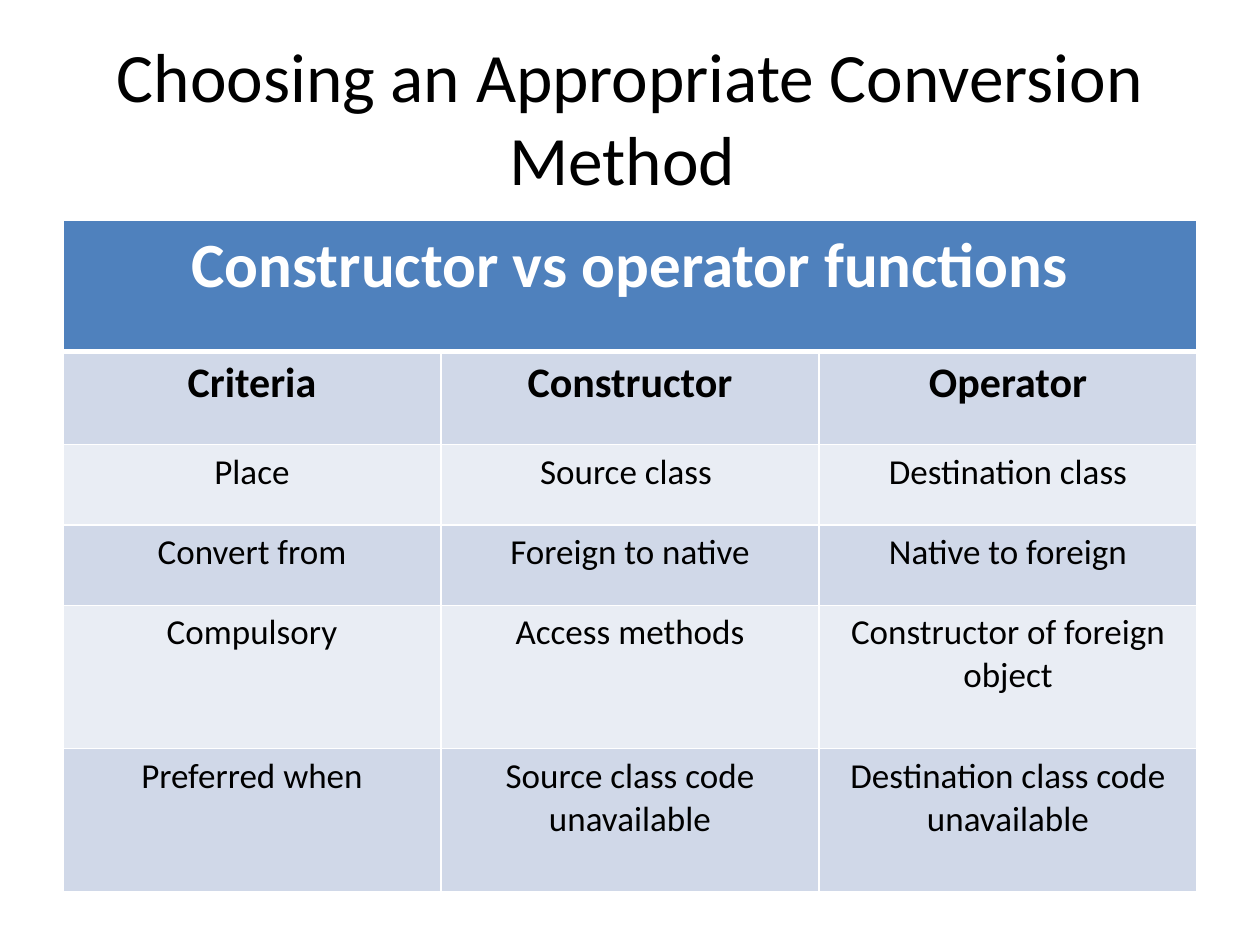
from dataclasses import dataclass
from lxml.etree import SubElement
from pptx import Presentation
from pptx.dml.color import RGBColor as Color
from pptx.enum.text import MSO_ANCHOR as Anchor, MSO_AUTO_SIZE as AutoSize, PP_ALIGN as Align
from pptx.oxml.ns import qn
from pptx.util import Cm, Pt


@dataclass(frozen=True)
class Theme:
    font: str = "Calibri"
    ink: str = "000000"
    paper: str = "FFFFFF"
    header: str = "4F81BD"
    dark_band: str = "D0D8E8"
    light_band: str = "E9EDF4"
    title_size: float = 39.6
    header_size: float = 36
    heading_size: float = 24
    body_size: float = 20
    thin: float = 1
    thick: float = 3


@dataclass(frozen=True)
class Box:
    left: float
    top: float
    width: float
    height: float


THEME = Theme()
TITLE = "Choosing an Appropriate Conversion Method "
TABLE_HEADER = "Constructor vs operator functions"
ROWS = [
    ("Criteria", "Constructor", "Operator"),
    ("Place", "Source class ", "Destination class"),
    ("Convert from", "Foreign to native", "Native to foreign"),
    ("Compulsory", "Access methods", "Constructor of foreign object"),
    ("Preferred when", "Source class code unavailable", "Destination class code unavailable"),
]
ROW_SHARES = [1.04, 0.74, 0.64, 0.64, 1.14, 1.14]


def write_text(frame, text, size, color=THEME.ink, bold=False, align=Align.CENTER):
    paragraph = frame.paragraphs[0]
    paragraph.alignment = align
    run = paragraph.add_run()
    run.text = text
    run.font.name = THEME.font
    run.font.size = Pt(size)
    run.font.bold = bold
    run.font.color.rgb = Color.from_string(color)


def style_cell(cell, fill, top=THEME.thin, bottom=THEME.thin):
    properties = cell._tc.get_or_add_tcPr()
    for side, width in (("L", THEME.thin), ("R", THEME.thin), ("T", top), ("B", bottom)):
        line = SubElement(properties, qn(f"a:ln{side}"), w=str(Pt(width)))
        SubElement(SubElement(line, qn("a:solidFill")), qn("a:srgbClr"), val=THEME.paper)
    cell.fill.solid()
    cell.fill.fore_color.rgb = Color.from_string(fill)


def place_title(slide, box):
    title = slide.shapes.title
    title.left, title.top = Cm(box.left), Cm(box.top)
    title.width, title.height = Cm(box.width), Cm(box.height)
    title.text_frame.word_wrap = True
    title.text_frame.auto_size = AutoSize.NONE
    title.text_frame.vertical_anchor = Anchor.MIDDLE
    write_text(title.text_frame, TITLE, THEME.title_size)


def place_table(slide, box):
    column_count = len(ROWS[0])
    table = slide.shapes.add_table(
        len(ROWS) + 1, column_count, Cm(box.left), Cm(box.top), Cm(box.width), Cm(box.height)
    ).table
    for column in table.columns:
        column.width = Cm(box.width / column_count)
    for row, share in zip(table.rows, ROW_SHARES):
        row.height = Cm(box.height * share / sum(ROW_SHARES))

    for cell in table.rows[0].cells:
        style_cell(cell, THEME.header, bottom=THEME.thick)
    header = table.cell(0, 0)
    header.merge(table.cell(0, column_count - 1))
    write_text(header.text_frame, TABLE_HEADER, THEME.header_size, color=THEME.paper, bold=True)

    for index, texts in enumerate(ROWS, start=1):
        is_heading = index == 1
        band = THEME.dark_band if index % 2 else THEME.light_band
        size = THEME.heading_size if is_heading else THEME.body_size
        for cell, text in zip(table.rows[index].cells, texts):
            style_cell(cell, band, top=THEME.thick if is_heading else THEME.thin)
            write_text(cell.text_frame, text, size, bold=is_heading)


def main():
    presentation = Presentation()
    presentation.slide_width, presentation.slide_height = Cm(25.4), Cm(19.05)
    title_only = presentation.slide_layouts.get_by_name("Title Only")
    slide = presentation.slides.add_slide(title_only)
    place_title(slide, Box(1.27, 0.76, 22.86, 3.18))
    place_table(slide, Box(1.27, 4.45, 22.86, 13.53))
    presentation.save("out.pptx")


if __name__ == "__main__":
    main()
